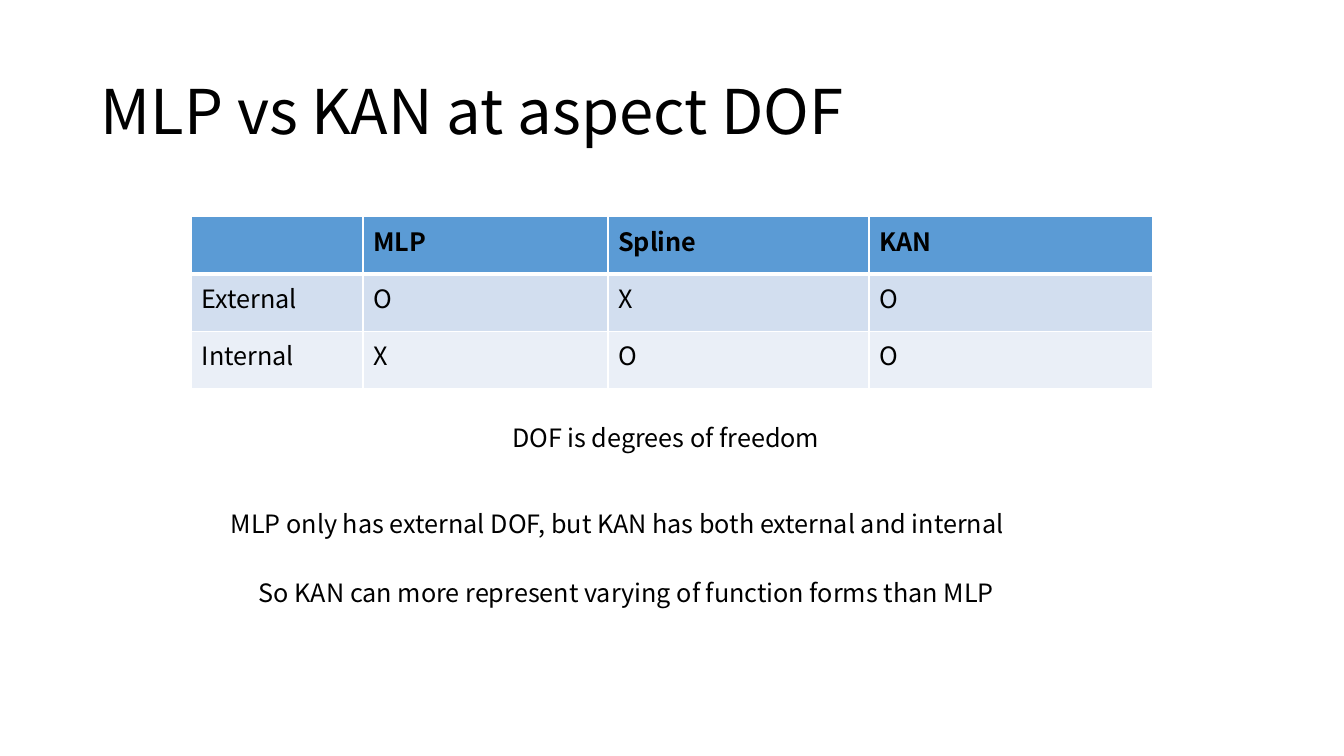
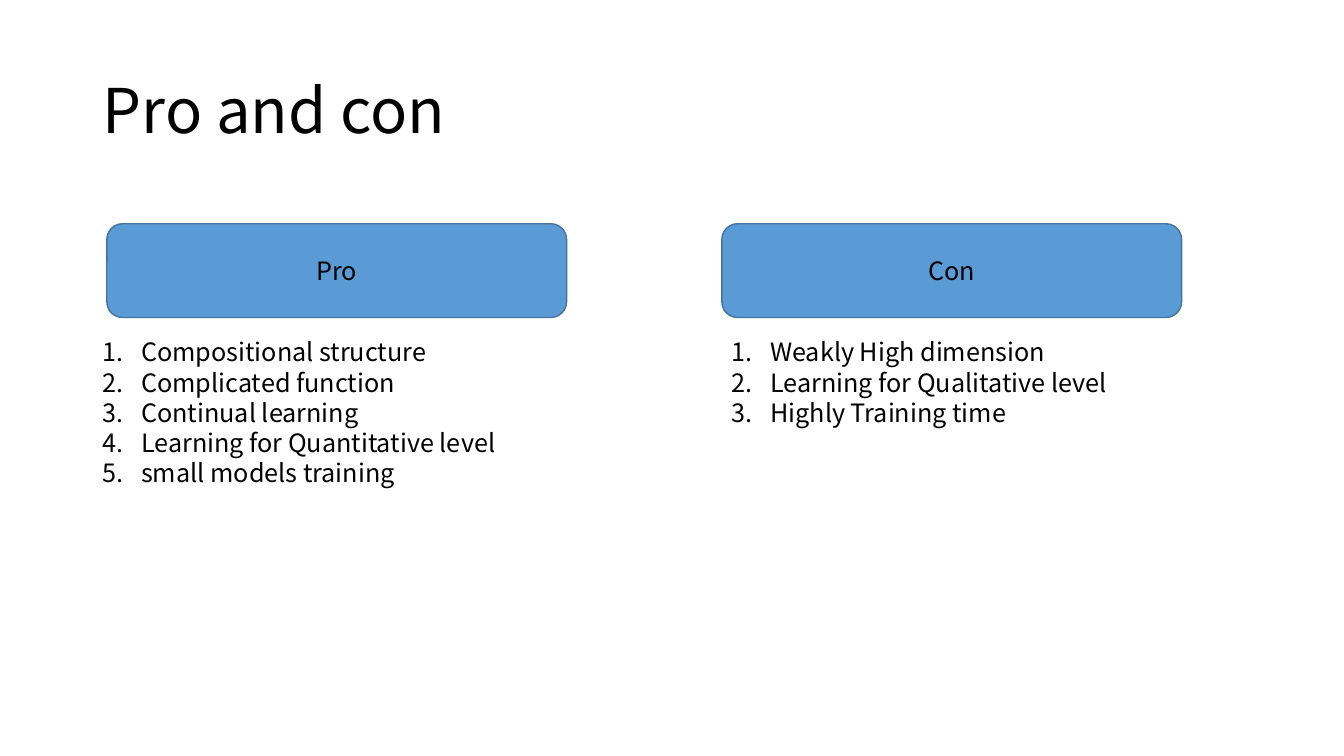
from dataclasses import dataclass

from lxml.etree import SubElement
from pptx import Presentation
from pptx.dml.color import RGBColor
from pptx.enum.shapes import MSO_SHAPE as Shape
from pptx.enum.text import MSO_ANCHOR as Anchor, MSO_AUTO_SIZE as AutoSize, PP_ALIGN as Align
from pptx.oxml import parse_xml
from pptx.oxml.ns import nsdecls, qn
from pptx.util import Inches, Pt

FONT = "Noto Sans CJK KR"
BODY_SIZE = 18
TITLE_SIZE = 44
BODY_LEADING = Pt(21.6)
NUMBER_INDENT = Inches(0.38)
TITLE_ONLY, TWO_CONTENT = 5, 3
COLORS = {
    "text": "000000",
    "accent": "5B9BD5",
    "outline": "43739E",
    "band_dark": "D2DEEF",
    "band_light": "EAEFF7",
    "white": "FFFFFF",
}


@dataclass(frozen=True)
class Area:
    left: float
    top: float
    width: float
    height: float

    def lengths(self):
        return [Inches(value) for value in (self.left, self.top, self.width, self.height)]


@dataclass(frozen=True)
class Note:
    text: str
    area: Area


@dataclass(frozen=True)
class Column:
    heading: str
    heading_left: float
    list_area: Area
    items: tuple[str, ...]


TABLE_AREA = Area(1.9, 2.15, 9.53, 1.71)
TABLE_COLUMNS = (1.7, 2.43, 2.59, 2.81)
TABLE_ROWS = (
    ("", "MLP", "Spline", "KAN"),
    ("External", "O", "X", "O"),
    ("Internal", "X", "O", "O"),
)
ROW_FILLS = ("accent", "band_dark", "band_light")

NOTES = (
    Note("DOF is degrees of freedom", Area(4.98, 4.14, 3.82, 0.4)),
    Note("MLP only has external DOF, but KAN has both external and internal",
         Area(2.19, 4.99, 9.4, 0.4)),
    Note("So KAN can more represent varying of function forms than MLP",
         Area(2.47, 5.68, 8.84, 0.4)),
)

COLUMNS = (
    Column("Pro", 1.06, Area(0.92, 3.29, 4.94, 1.62), (
        "Compositional structure",
        "Complicated function",
        "Continual learning",
        "Learning for Quantitative level",
        "small models training",
    )),
    Column("Con", 7.16, Area(7.16, 3.29, 4.8, 1.01), (
        "Weakly High dimension",
        "Learning for Qualitative level",
        "Highly Training time",
    )),
)


def color(name: str) -> RGBColor:
    return RGBColor.from_string(COLORS[name])


def add_span(para, text: str, size: float = BODY_SIZE, bold: bool = False) -> None:
    span = para.add_run()
    span.text = text
    span.font.name = FONT
    span.font.size = Pt(size)
    span.font.bold = bold
    span.font.color.rgb = color("text")


def place(shape, area: Area) -> None:
    shape.left, shape.top, shape.width, shape.height = area.lengths()


def add_page(deck, layout: int, title: str, title_area: Area):
    page = deck.slides.add_slide(deck.slide_layouts[layout])
    box = page.shapes.title
    place(box, title_area)
    frame = box.text_frame
    frame.auto_size = AutoSize.NONE
    frame.vertical_anchor = Anchor.MIDDLE
    para = frame.paragraphs[0]
    para.alignment = Align.LEFT
    para.line_spacing = 0.9
    add_span(para, title, TITLE_SIZE)
    return page


def set_borders(cell, bottom_width: float) -> None:
    """Draw white rules around a cell; the bottom one may be heavier."""
    properties = cell._tc.get_or_add_tcPr()
    widths = {"lnL": 1, "lnR": 1, "lnT": 1, "lnB": bottom_width}
    for position, (tag, width) in enumerate(widths.items()):
        properties.insert(position, parse_xml(
            f'<a:{tag} {nsdecls("a")} w="{Pt(width)}"><a:solidFill>'
            f'<a:srgbClr val="{COLORS["white"]}"/></a:solidFill></a:{tag}>'))


def add_comparison_table(page) -> None:
    table = page.shapes.add_table(
        len(TABLE_ROWS), len(TABLE_COLUMNS), *TABLE_AREA.lengths()).table
    for column, width in zip(table.columns, TABLE_COLUMNS):
        column.width = Inches(width)
    for row_index, (texts, fill) in enumerate(zip(TABLE_ROWS, ROW_FILLS)):
        is_header = row_index == 0
        for column_index, text in enumerate(texts):
            cell = table.cell(row_index, column_index)
            cell.fill.solid()
            cell.fill.fore_color.rgb = color(fill)
            set_borders(cell, 3 if is_header else 1)
            if text:
                add_span(cell.text_frame.paragraphs[0], text, bold=is_header)


def add_note(page, note: Note) -> None:
    frame = page.shapes.add_textbox(*note.area.lengths()).text_frame
    frame.word_wrap = True
    para = frame.paragraphs[0]
    para.line_spacing = BODY_LEADING
    add_span(para, note.text)


def fill_numbered_list(box, column: Column) -> None:
    place(box, column.list_area)
    frame = box.text_frame
    frame.auto_size = AutoSize.NONE
    for index, item in enumerate(column.items):
        para = frame.add_paragraph() if index else frame.paragraphs[0]
        para.line_spacing = BODY_LEADING
        para.space_before = Pt(0)
        properties = para._p.get_or_add_pPr()
        properties.set("marL", str(NUMBER_INDENT))
        properties.set("indent", str(-NUMBER_INDENT))
        SubElement(properties, qn("a:buFont"), typeface="+mj-lt")
        SubElement(properties, qn("a:buAutoNum"), type="arabicPeriod")
        add_span(para, item)


def add_heading(page, column: Column) -> None:
    area = Area(column.heading_left, 2.22, 4.56, 0.93)
    box = page.shapes.add_shape(Shape.ROUNDED_RECTANGLE, *area.lengths())
    box.shadow.inherit = False
    box.fill.solid()
    box.fill.fore_color.rgb = color("accent")
    box.line.color.rgb = color("outline")
    box.line.width = Pt(1)
    box.text_frame.vertical_anchor = Anchor.MIDDLE
    para = box.text_frame.paragraphs[0]
    para.alignment = Align.CENTER
    add_span(para, column.heading)


def build_freedom_page(deck) -> None:
    page = add_page(deck, TITLE_ONLY, "MLP vs KAN at aspect DOF", Area(0.9, 0.41, 11.5, 1.45))
    add_comparison_table(page)
    for note in NOTES:
        add_note(page, note)


def build_pro_con_page(deck) -> None:
    page = add_page(deck, TWO_CONTENT, "Pro and con", Area(0.92, 0.4, 11.5, 1.45))
    list_boxes = list(page.placeholders)[1:]
    for box, column in zip(list_boxes, COLUMNS):
        fill_numbered_list(box, column)
        add_heading(page, column)


def main() -> None:
    deck = Presentation()
    deck.slide_width = Inches(13.33)
    deck.slide_height = Inches(7.5)
    build_freedom_page(deck)
    build_pro_con_page(deck)
    deck.save("out.pptx")


if __name__ == "__main__":
    main()
